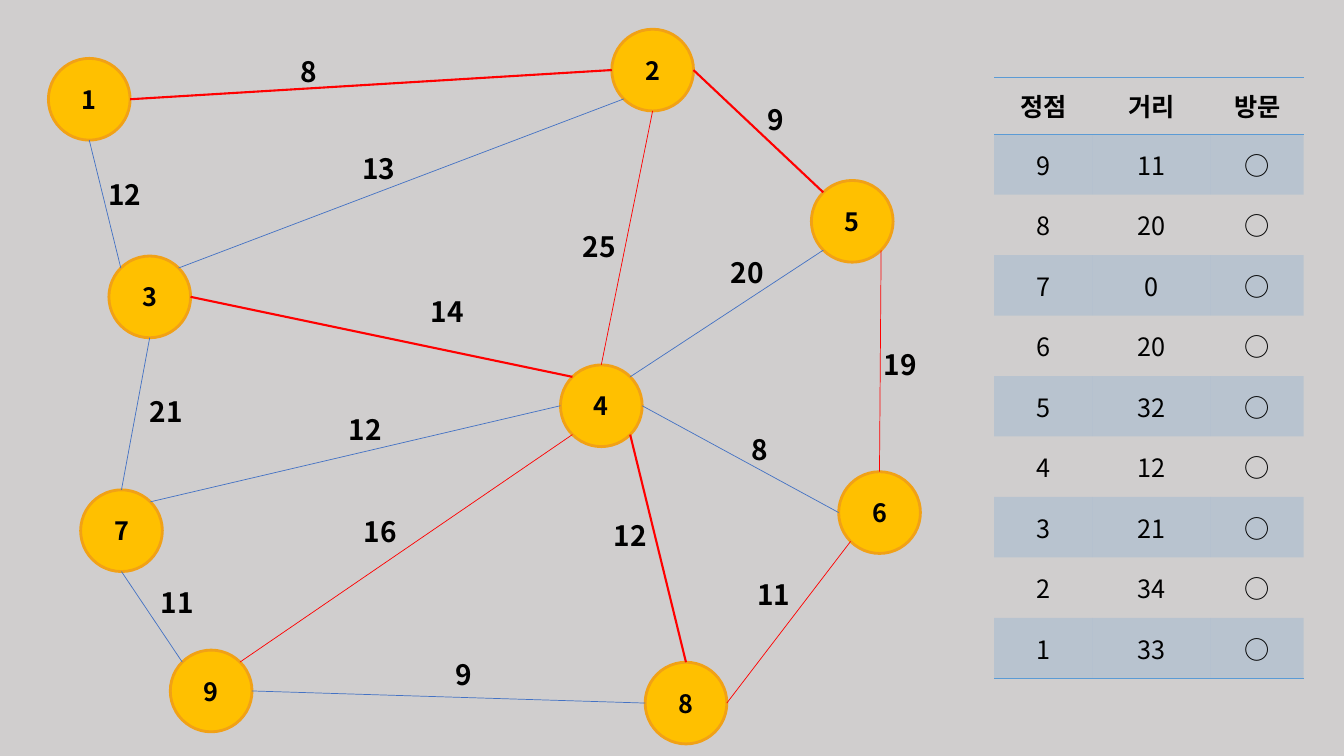
import math
from dataclasses import dataclass

import lxml.etree
import pptx
import pptx.dml.color
import pptx.enum.shapes
import pptx.enum.text
import pptx.oxml.ns
import pptx.util


@dataclass(frozen=True)
class Theme:
    """Colours, font and sizes of the slide."""
    background: str = "D0CECE"
    vertex: str = "FFC000"
    vertex_rim: str = "F1A116"
    chosen: str = "FF0000"
    plain: str = "4472C4"
    band: str = "5B9BD5"
    ink: str = "000000"
    font: str = "Noto Sans CJK KR"
    body_size: int = 18
    weight_size: int = 20


theme = Theme()
rgb = pptx.dml.color.RGBColor.from_string
qn = pptx.oxml.ns.qn
CENTER = pptx.enum.text.PP_ALIGN.CENTER
MIDDLE = pptx.enum.text.MSO_ANCHOR.MIDDLE

presentation = pptx.Presentation()
presentation.slide_width = pptx.util.Inches(13.33)
presentation.slide_height = pptx.util.Inches(7.5)
COLUMN = presentation.slide_width / 100  # one percent of the width
ROW = presentation.slide_height / 100  # one percent of the height
slide = presentation.slides.add_slide(presentation.slide_layouts[6])
slide.background.fill.solid()
slide.background.fill.fore_color.rgb = rgb(theme.background)


def write(frame, text, size, bold, alignment):
    """Put one styled paragraph into a text frame."""
    paragraph = frame.paragraphs[0]
    paragraph.text = text
    paragraph.alignment = alignment
    font = paragraph.font
    font.size, font.bold, font.name = pptx.util.Pt(size), bold, theme.font
    font.color.rgb = rgb(theme.ink)
    east_asian = lxml.etree.SubElement(paragraph._p.pPr.find(qn("a:defRPr")), qn("a:ea"))
    east_asian.set("typeface", theme.font)


# Distance table: vertex, distance, visited
distances = [("정점", "거리", "방문")] + [
    (str(9 - index), distance, "○")
    for index, distance in enumerate("11 20 0 20 32 12 21 34 33".split())
]
column_shares = (7.35, 8.78, 6.9)
row_shares = [7.47] + [8] * 9
distance_frame = slide.shapes.add_table(
    len(distances), len(column_shares), int(73.97 * COLUMN), int(10.27 * ROW),
    int(sum(column_shares) * COLUMN), int(sum(row_shares) * ROW))
distance_table = distance_frame.table
distance_table.first_row = distance_table.horz_banding = False
# Built-in style without fills or grid lines
distance_table._tbl.tblPr.find(qn("a:tableStyleId")).text = "{2D5ABB26-0587-4C30-8999-92F81FD0307C}"
for column, share in zip(distance_table.columns, column_shares):
    column.width = int(share * COLUMN)
for row_index, values in enumerate(distances):
    distance_table.rows[row_index].height = int(row_shares[row_index] * ROW)
    rules = {0: ("a:lnT", "a:lnB"), len(distances) - 1: ("a:lnB",)}.get(row_index, ())
    for column_index, value in enumerate(values):
        cell = distance_table.cell(row_index, column_index)
        cell.vertical_anchor = MIDDLE
        write(cell.text_frame, value, theme.body_size, row_index == 0, CENTER)
        cell_format = cell._tc.get_or_add_tcPr()
        if row_index % 2:
            cell.fill.solid()
            cell.fill.fore_color.rgb = rgb(theme.band)
            tint = cell_format.find(".//" + qn("a:srgbClr"))
            lxml.etree.SubElement(tint, qn("a:alpha")).set("val", "20000")
        else:
            cell.fill.background()
        for position, side in enumerate(rules):
            rule = lxml.etree.Element(qn(side), w=str(pptx.util.Pt(1)))
            paint = lxml.etree.SubElement(rule, qn("a:solidFill"))
            lxml.etree.SubElement(paint, qn("a:srgbClr")).set("val", theme.band)
            cell_format.insert(position, rule)

# Vertex centres, in shares of the slide
vertices = {
    1: (6.64, 13.13), 2: (48.56, 9.27), 3: (11.14, 39.27),
    4: (44.74, 53.67), 5: (63.41, 29.27), 6: (65.44, 67.8),
    7: (9.04, 70.2), 8: (51.04, 93), 9: (15.71, 91.4),
}
radius = 3.04 * COLUMN
for vertex, (x, y) in vertices.items():
    disc = slide.shapes.add_shape(
        pptx.enum.shapes.MSO_SHAPE.OVAL, int(x * COLUMN - radius), int(y * ROW - radius),
        int(2 * radius), int(2 * radius))
    disc.shadow.inherit = False
    disc.fill.solid()
    disc.fill.fore_color.rgb = rgb(theme.vertex)
    disc.line.color.rgb = rgb(theme.vertex_rim)
    disc.line.width = pptx.util.Pt(2)
    disc.text_frame.vertical_anchor = MIDDLE
    write(disc.text_frame, str(vertex), theme.body_size, True, CENTER)

# Edges: end vertices, compass points they leave from, weight, weight centre, kind
compass = {point: index * math.pi / 4
           for index, point in enumerate("E SE S SW W NW N NE".split())}
kinds = {"tree": (theme.chosen, 1.5), "tried": (theme.chosen, 0.5), "idle": (theme.plain, 0.5)}
edges = [
    (1, "E", 2, "W", 8, (23, 9.5), "tree"),
    (1, "S", 3, "NW", 12, (9.3, 25.7), "idle"),
    (8, "N", 4, "SE", 12, (46.9, 70.9), "tree"),
    (2, "S", 4, "N", 25, (44.6, 32.7), "tried"),
    (4, "SW", 9, "NE", 16, (28.3, 70.3), "tried"),
    (7, "N", 3, "S", 21, (12.4, 54.5), "idle"),
    (5, "NW", 2, "E", 9, (57.7, 15.9), "tree"),
    (3, "E", 4, "NW", 14, (33.3, 41.2), "tree"),
    (3, "NE", 2, "SW", 13, (28.2, 22.3), "idle"),
    (7, "NE", 4, "W", 12, (27.2, 56.9), "idle"),
    (4, "E", 6, "W", 8, (56.5, 59.5), "idle"),
    (5, "SW", 4, "NE", 20, (55.6, 36.1), "idle"),
    (5, "SE", 6, "N", 19, (67, 48.3), "tried"),
    (8, "E", 6, "SW", 11, (57.6, 78.7), "tried"),
    (7, "S", 9, "NW", 11, (13.2, 79.7), "idle"),
    (9, "E", 8, "W", 9, (34.5, 89.3), "idle"),
]
for start, start_point, end, end_point, weight, (x, y), kind in edges:
    ends = []
    for vertex, point in ((start, start_point), (end, end_point)):
        center_x, center_y = vertices[vertex]
        ends += [int(center_x * COLUMN + radius * math.cos(compass[point])),
                 int(center_y * ROW + radius * math.sin(compass[point]))]
    edge = slide.shapes.add_connector(pptx.enum.shapes.MSO_CONNECTOR.STRAIGHT, *ends)
    color, width = kinds[kind]
    edge.line.color.rgb = rgb(color)
    edge.line.width = pptx.util.Pt(width)
    lxml.etree.SubElement(edge._element.spPr, qn("a:effectLst"))

    label_width = (1.43 + 1.27 * len(str(weight))) * COLUMN
    label_height = 5.87 * ROW
    label = slide.shapes.add_textbox(
        int(x * COLUMN - label_width / 2), int(y * ROW - label_height / 2),
        int(label_width), int(label_height))
    label.text_frame.word_wrap = False
    label.text_frame.auto_size = pptx.enum.text.MSO_AUTO_SIZE.SHAPE_TO_FIT_TEXT
    write(label.text_frame, str(weight), theme.weight_size, True, pptx.enum.text.PP_ALIGN.LEFT)

presentation.save("out.pptx")
